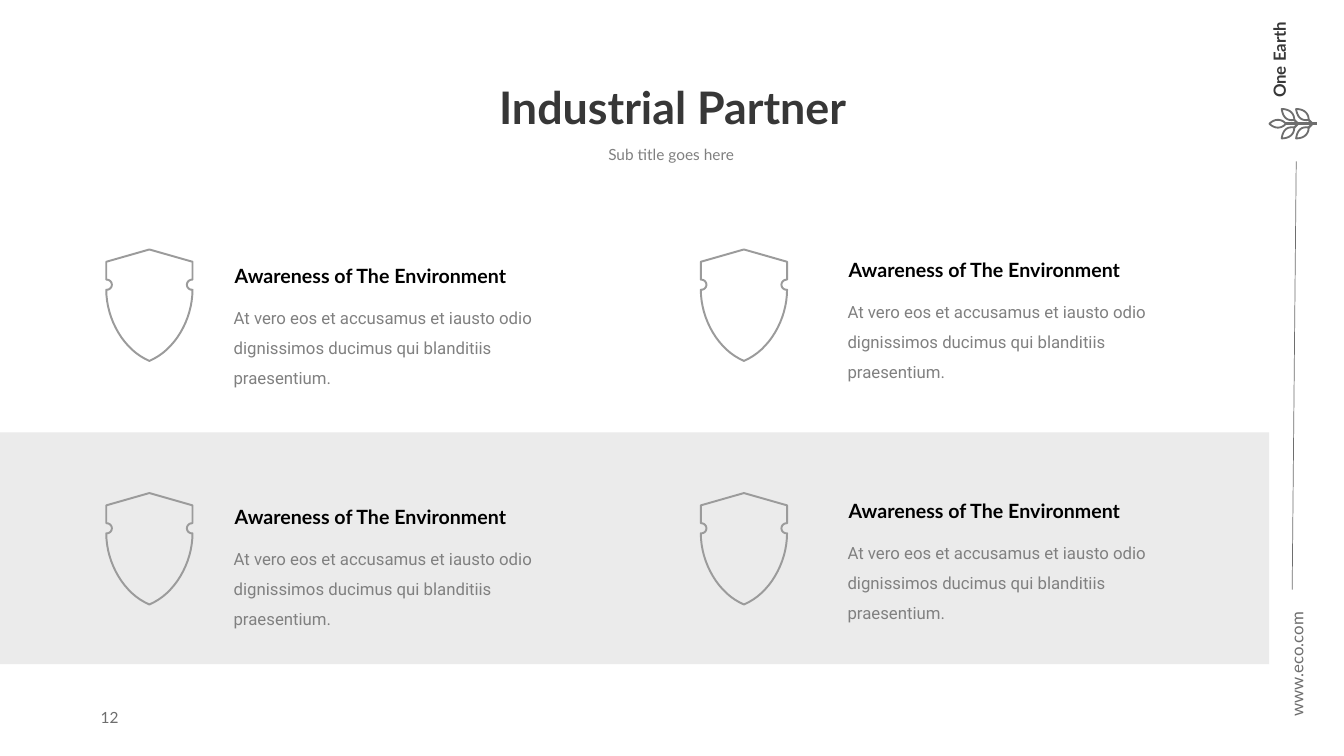
from lxml.etree import SubElement
from math import cos, pi, sin
from pptx import Presentation
from pptx.dml.color import RGBColor
from pptx.enum.shapes import MSO_CONNECTOR, MSO_SHAPE
from pptx.enum.text import MSO_ANCHOR, PP_ALIGN
from pptx.oxml.ns import qn
from pptx.util import Pt

DARK, GREY, TEXT_GREY = "373737", "6E6E6E", "808080"
SHIELD_GREY, BAND, BLACK = "9B9B9B", "EBEBEB", "000000"

HEADING = "Awareness of The Environment"
BODY = ("At vero eos et accusamus et iausto odio dignissimos "
        "ducimus qui blanditiis praesentium.")


def color(value):
    return RGBColor.from_string(value)


def bezier(a, b, c, d, steps=16):
    """Points along a cubic curve from a to d."""
    points = []
    for i in range(steps + 1):
        t = i / steps
        u = 1 - t
        points.append(tuple(
            u**3 * a[k] + 3 * u * u * t * b[k] + 3 * u * t * t * c[k] + t**3 * d[k]
            for k in (0, 1)))
    return points


def add_outline(slide, points, left, top, line, width):
    """Closed unfilled outline; points are relative to left and top."""
    placed = [(Pt(left + x), Pt(top + y)) for x, y in points]
    builder = slide.shapes.build_freeform(*placed[0])
    builder.add_line_segments(placed[1:], close=True)
    sp = builder.convert_to_shape()
    sp.shadow.inherit = False
    sp.fill.background()
    sp.line.color.rgb = color(line)
    sp.line.width = Pt(width)


def add_line(slide, x1, y1, x2, y2, width):
    line = slide.shapes.add_connector(
        MSO_CONNECTOR.STRAIGHT, Pt(x1), Pt(y1), Pt(x2), Pt(y2))
    line.line.color.rgb = color(GREY)
    line.line.width = Pt(width)
    SubElement(line._element.spPr, qn("a:effectLst"))


def add_band(slide, left, top, width, height):
    sp = slide.shapes.add_shape(
        MSO_SHAPE.RECTANGLE, Pt(left), Pt(top), Pt(width), Pt(height))
    sp.shadow.inherit = False
    sp.fill.solid()
    sp.fill.fore_color.rgb = color(BAND)
    sp.line.fill.background()


def add_text(slide, text, box, size, rgb, font="Lato", bold=False, spacing=1.0,
             align=PP_ALIGN.LEFT, anchor=MSO_ANCHOR.TOP, rotation=0):
    sp = slide.shapes.add_textbox(*(Pt(v) for v in box))
    sp.rotation = rotation
    tf = sp.text_frame
    tf.word_wrap = True
    tf.vertical_anchor = anchor
    p = tf.paragraphs[0]
    p.alignment = align
    p.line_spacing = spacing
    r = p.add_run()
    r.text = text
    r.font.name = font
    r.font.size = Pt(size)
    r.font.bold = bold
    r.font.color.rgb = color(rgb)


def add_shield(slide, left, top):
    width = 61.6
    notch = [(width - 0.4 - 3.6 * sin(pi * i / 12), 25.2 - 3.6 * cos(pi * i / 12))
             for i in range(13)]
    right = [(width / 2, 0), (width, 8.8), (width, 21.6), *notch,
             *bezier((width, 28.8), (width, 50), (49, 72), (width / 2, 79.6))]
    mirrored = [(width - x, y) for x, y in reversed(right[1:-1])]
    add_outline(slide, right + mirrored, left, top, SHIELD_GREY, 1.4)


def add_twig(slide, left, middle):
    """Stem with a leaf at its tip and two pairs of side leaves."""
    add_line(slide, left + 12.5, middle, left + 35.3, middle, 2.2)
    upper = bezier((1, 0), (4.3, -3.4), (9.2, -4), (12.8, 0))
    lower = [(x, -y) for x, y in reversed(upper)]
    add_outline(slide, upper + lower, left, middle, GREY, 1.3)

    tip, base = (9.7, -10.5), (18.7, -2.7)
    leaf = (bezier(tip, (10.8, -4.1), (13.7, -2), base)
            + bezier(base, (18.7, -7.7), (15.1, -10.5), tip))
    for shift in (0, 10.3):
        for side in (1, -1):
            points = [(x, y * side) for x, y in leaf]
            add_outline(slide, points, left + shift, middle, GREY, 1.3)
            add_line(slide, left + shift + 18.7, middle - 2.7 * side,
                     left + shift + 21, middle - 0.5 * side, 1.6)


def add_partner(slide, left, top):
    add_text(slide, HEADING, (left + 0.8, top, 270.6, 24.2), 14, BLACK, bold=True)
    add_text(slide, BODY, (left, top + 23.8, 270.6, 51), 12, TEXT_GREY,
             font="Roboto", spacing=1.5)


def add_side_strip(slide):
    add_text(slide, "www.eco.com", (859, 444.2, 127.4, 22.3), 12, GREY,
             spacing=1.5, anchor=MSO_ANCHOR.MIDDLE, rotation=270)
    add_twig(slide, 905.8, 88.4)
    add_text(slide, "One Earth", (885, 23, 72, 36), 12, DARK, bold=True,
             rotation=270)
    add_line(slide, 925.9, 115.2, 923, 421.2, 0.5)


def main():
    prs = Presentation()
    prs.slide_width, prs.slide_height = Pt(960), Pt(540)
    slide = prs.slides.add_slide(prs.slide_layouts[6])

    add_side_strip(slide)
    add_band(slide, 0, 308.9, 906.5, 165.6)
    add_text(slide, "Industrial Partner", (64.8, 48.2, 831.6, 61.2), 32, DARK,
             bold=True, spacing=0.9, align=PP_ALIGN.CENTER,
             anchor=MSO_ANCHOR.MIDDLE)
    add_text(slide, "Sub title goes here", (373.7, 93.6, 211.7, 25.2), 11,
             TEXT_GREY, spacing=1.5, align=PP_ALIGN.CENTER)
    add_text(slide, "12", (64.8, 498.2, 154, 28.8), 11, GREY,
             anchor=MSO_ANCHOR.MIDDLE)

    for row in range(2):
        for shield_left, text_left, text_top in ((75.9, 159.8, 185), (500.6, 598.3, 180.7)):
            add_shield(slide, shield_left, 178.2 + 174 * row)
            add_partner(slide, text_left, text_top + 172.1 * row)

    prs.save("out.pptx")


if __name__ == "__main__":
    main()
